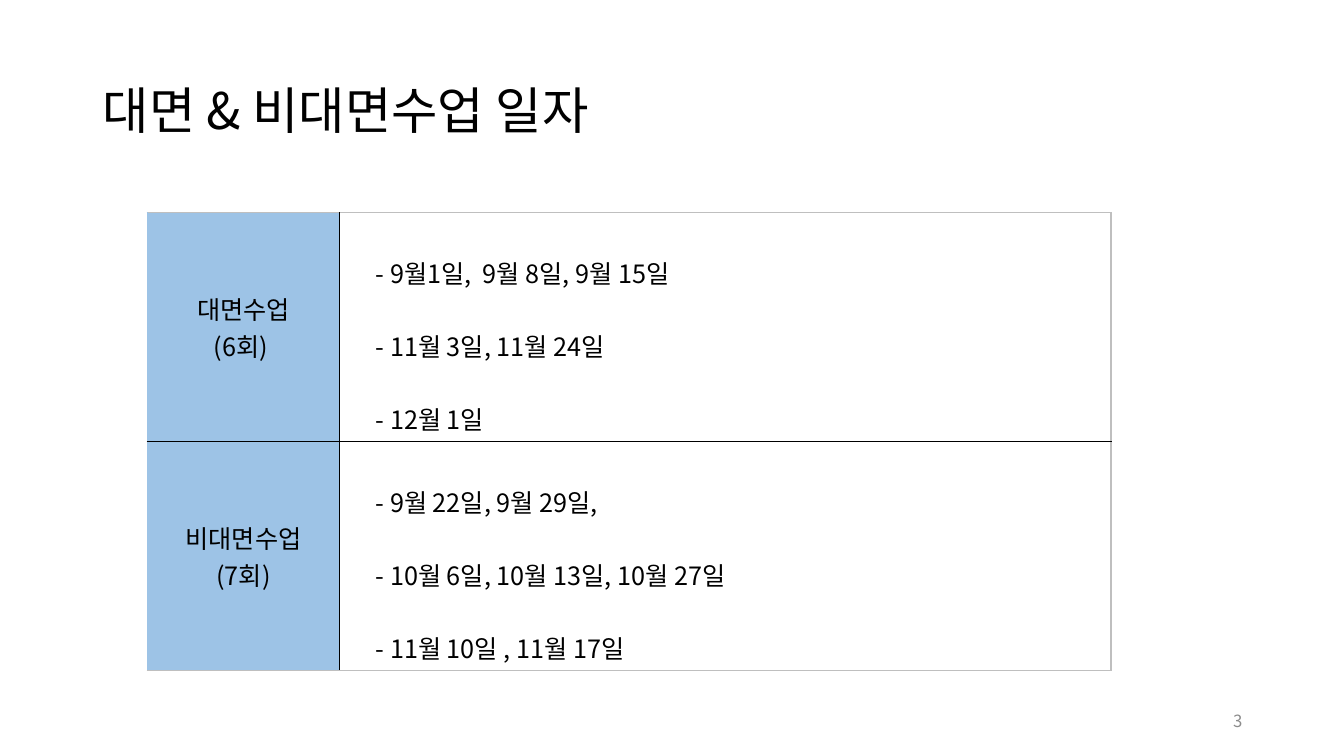
"""Build the slide listing in-person and remote class dates."""
from lxml import etree
from pptx import Presentation
from pptx import util as u
from pptx.dml.color import RGBColor
from pptx.enum import text
from pptx.oxml.ns import qn

FONT = "Noto Sans CJK KR"
BLACK = RGBColor(0x00, 0x00, 0x00)
WHITE = RGBColor(0xFF, 0xFF, 0xFF)
BLUE = RGBColor(0x9D, 0xC3, 0xE6)
GRAY = RGBColor(0x8C, 0x8C, 0x8C)
EDGE = RGBColor(0xBF, 0xBF, 0xBF)
LEFT, CENTER, RIGHT = (text.PP_ALIGN.LEFT, text.PP_ALIGN.CENTER,
                       text.PP_ALIGN.RIGHT)
MIDDLE, TOP = text.MSO_ANCHOR.MIDDLE, text.MSO_ANCHOR.TOP

CLASSES = [
    (["대면수업", "(6회) "],
     [" - 9월1일,  9월 8일, 9월 15일",
      " - 11월 3일, 11월 24일",
      " - 12월 1일"]),
    (["비대면수업", "(7회)"],
     [" - 9월 22일, 9월 29일,",
      " - 10월 6일, 10월 13일, 10월 27일",
      " - 11월 10일 , 11월 17일"]),
]


def write(tf, lines, size=18, color=BLACK, align=LEFT, spacing=1.0, indent=0):
    """Fill a text frame with one formatted paragraph per line."""
    for i, line in enumerate(lines):
        p = tf.paragraphs[0] if i == 0 else tf.add_paragraph()
        p.alignment, p.line_spacing = align, spacing
        if indent:
            pPr = p._p.get_or_add_pPr()
            pPr.set("marL", str(u.Inches(indent)))
            pPr.set("indent", "0")
        r = p.add_run()
        r.text = line
        r.font.size, r.font.name = u.Pt(size), FONT
        r.font.color.rgb = color
        ea = etree.SubElement(r._r.get_or_add_rPr(), qn("a:ea"))
        ea.set("typeface", FONT)


def place(sp, box):
    """Move a shape to a box given in inches."""
    sp.left, sp.top, sp.width, sp.height = map(u.Inches, box)


def add_title(slide, box, title):
    """Place and format the title placeholder."""
    sp = slide.shapes.title
    place(sp, box)
    tf = sp.text_frame
    tf.auto_size = text.MSO_AUTO_SIZE.NONE
    tf.vertical_anchor = MIDDLE
    write(tf, [title], size=36, spacing=0.9)


def add_page_number(slide, box, number):
    """Add the page number at the right of its box."""
    tf = slide.shapes.add_textbox(*map(u.Inches, box)).text_frame
    tf.word_wrap = True
    tf.vertical_anchor = MIDDLE
    write(tf, [number], size=12, color=GRAY, align=RIGHT)


def set_borders(cell, **colors):
    """Draw one-point borders on the sides L, R, T and B of a cell."""
    tcPr = cell._tc.get_or_add_tcPr()
    for i, side in enumerate("LRTB"):
        ln = etree.Element(qn(f"a:ln{side}"), w=str(u.Pt(1)))
        fill = etree.SubElement(ln, qn("a:solidFill"))
        etree.SubElement(fill, qn("a:srgbClr"), val=str(colors[side]))
        tcPr.insert(i, ln)


def add_schedule(slide, box, classes, label_width=1.91):
    """Add the table of class types and their dates."""
    last = len(classes) - 1
    table = slide.shapes.add_table(len(classes), 2,
                                   *map(u.Inches, box)).table
    table.first_row = table.horz_banding = False
    table.columns[0].width = u.Inches(label_width)
    table.columns[1].width = u.Inches(box[2] - label_width)
    for i, (label, dates) in enumerate(classes):
        name, days = table.cell(i, 0), table.cell(i, 1)
        top = BLACK if i else EDGE
        bottom = BLACK if i < last else EDGE
        for cell, fill, anchor, left, right in (
                (name, BLUE, MIDDLE, BLUE, BLACK),
                (days, WHITE, TOP, BLACK, EDGE)):
            cell.fill.solid()
            cell.fill.fore_color.rgb = fill
            cell.vertical_anchor = anchor
            set_borders(cell, L=left, R=right, T=top, B=bottom)
        write(name.text_frame, label, align=CENTER)
        write(days.text_frame, dates, spacing=2.0, indent=0.2)


def main():
    """Build and save the presentation."""
    prs = Presentation()
    prs.slide_width, prs.slide_height = u.Inches(13.33), u.Inches(7.5)
    slide = prs.slides.add_slide(prs.slide_layouts[5])
    add_title(slide, (0.92, 0.4, 11.5, 1.45), "대면 & 비대면수업 일자")
    add_schedule(slide, (1.46, 2.11, 9.56, 3.75), CLASSES)
    add_page_number(slide, (9.42, 6.95, 3, 0.4), "3")
    prs.save("out.pptx")


if __name__ == "__main__":
    main()
